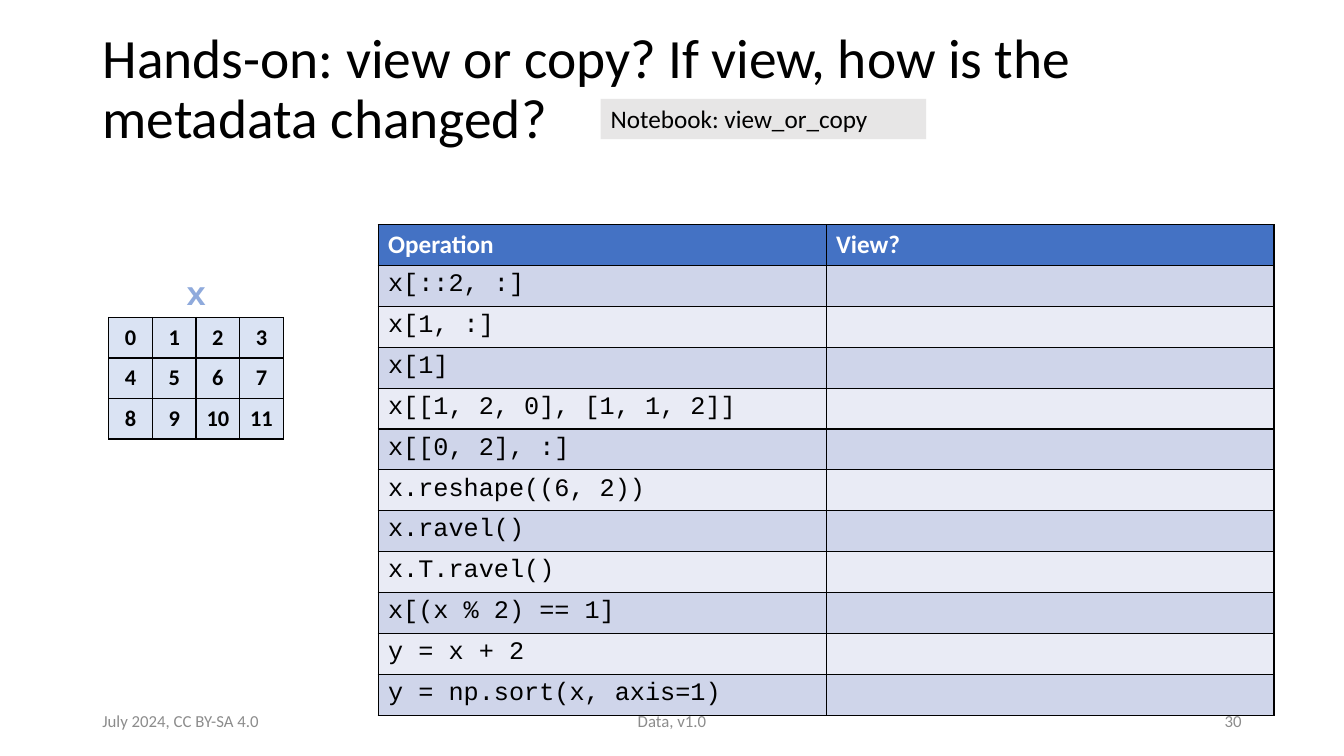
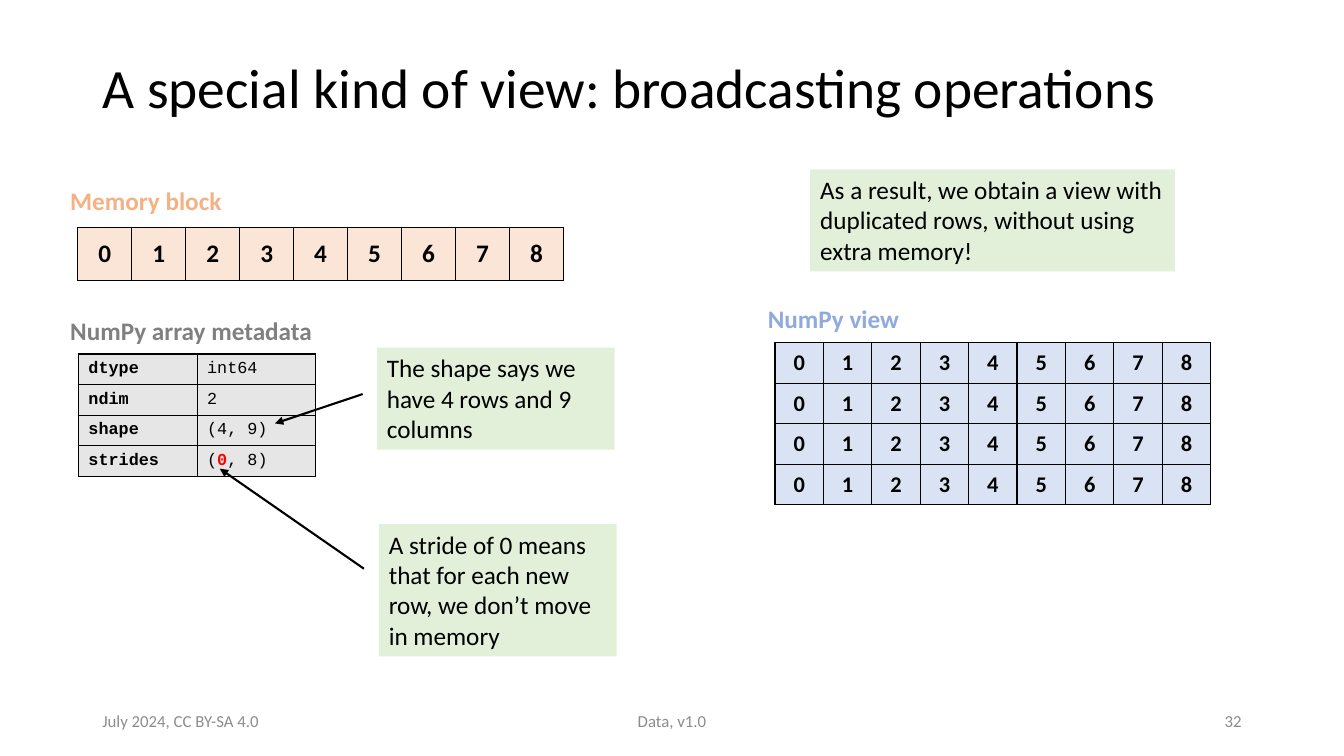
"""Build two slides on array views, copies and broadcasting."""
from dataclasses import dataclass, replace
from typing import Any, Callable

import lxml.etree
import pptx
import pptx.dml.color
import pptx.enum.shapes
import pptx.enum.text
import pptx.oxml.ns
import pptx.util

Cm = pptx.util.Cm
Align = pptx.enum.text.PP_ALIGN
Anchor = pptx.enum.text.MSO_ANCHOR
qn = pptx.oxml.ns.qn

BLACK, WHITE, RED = "000000", "FFFFFF", "FF0000"
GRAY, SILVER, ASH = "8C8C8C", "E7E6E6", "808080"
BLUE, SKY, ICE = "4472C4", "8FAADC", "DAE3F3"
BANDS = ("E9EBF5", "CFD5EA")
ORANGE, PEACH, GREEN = "F4B183", "FBE5D6", "E2F0D9"
SANS, MONO = "Calibri", "Courier New"


@dataclass(frozen=True)
class Look:
    """How text and the area behind it are drawn."""
    size: float = 18
    color: str = BLACK
    bold: bool = False
    font: str = SANS
    fill: str = ""
    align: Any = Align.LEFT
    anchor: Any = Anchor.TOP


@dataclass(frozen=True)
class Box:
    """A piece of text with its place in centimetres."""
    text: str
    left: float
    top: float
    width: float
    height: float
    look: Look


@dataclass(frozen=True)
class Grid:
    """A table of equal cells, sized in centimetres."""
    rows: list[list[str]]
    left: float
    top: float
    width: float
    height: float
    look: Callable[[int, int], Look]
    inset: tuple[float, float] = (0.25, 0.13)


@dataclass(frozen=True)
class Arrow:
    """An arrow between two points in centimetres."""
    start: tuple[float, float]
    end: tuple[float, float]


TITLE = Look(39.6, anchor=Anchor.MIDDLE)
FOOT = Look(12, GRAY, anchor=Anchor.MIDDLE)
NOTE = Look(fill=GREEN)
HEAD = Look(bold=True)
DATA = Look(16, bold=True, fill=ICE, align=Align.CENTER, anchor=Anchor.MIDDLE)
BLOCK = replace(DATA, size=18, fill=PEACH)
META = Look(12, font=MONO, fill=SILVER, anchor=Anchor.MIDDLE)


def hue(code: str) -> Any:
    """Turn a hex string into a colour."""
    return pptx.dml.color.RGBColor.from_string(code)


def paint(fill: Any, code: str) -> None:
    """Make a fill solid in one colour."""
    fill.solid()
    fill.fore_color.rgb = hue(code)


def style(run: Any, look: Look) -> None:
    """Format one run."""
    run.font.name = look.font
    run.font.size = pptx.util.Pt(look.size)
    run.font.bold = look.bold
    run.font.color.rgb = hue(look.color)


def write(frame: Any, text: str, look: Look) -> None:
    """Put formatted text in a frame."""
    frame.text = text
    frame.word_wrap = True
    frame.vertical_anchor = look.anchor
    for para in frame.paragraphs:
        para.alignment = look.align
        for run in para.runs:
            style(run, look)


def place(slide: Any, box: Box) -> None:
    """Draw a text box, or a rectangle when it has a fill."""
    area = [Cm(n) for n in (box.left, box.top, box.width, box.height)]
    if box.look.fill:
        kind = pptx.enum.shapes.MSO_SHAPE.RECTANGLE
        shape = slide.shapes.add_shape(kind, *area)
        shape.shadow.inherit = False
        shape.line.fill.background()
        paint(shape.fill, box.look.fill)
    else:
        shape = slide.shapes.add_textbox(*area)
    write(shape.text_frame, box.text, box.look)


def rule(cell: Any) -> None:
    """Draw thin black borders around a table cell."""
    props = cell.get_or_add_tcPr()
    for side in "LRTB":
        line = lxml.etree.SubElement(props, qn(f"a:ln{side}"), w="12700")
        fill = lxml.etree.SubElement(line, qn("a:solidFill"))
        lxml.etree.SubElement(fill, qn("a:srgbClr"), val=BLACK)


def tile(slide: Any, grid: Grid) -> Any:
    """Draw a table and return it."""
    down, across = len(grid.rows), len(grid.rows[0])
    shape = slide.shapes.add_table(
        down, across, Cm(grid.left), Cm(grid.top),
        Cm(grid.width * across), Cm(grid.height * down))
    for cell in shape.element.iter(qn("a:tc")):
        rule(cell)
    table = shape.table
    table.first_row = table.horz_banding = False
    for col in table.columns:
        col.width = Cm(grid.width)
    for i, row in enumerate(grid.rows):
        table.rows[i].height = Cm(grid.height)
        for j, text in enumerate(row):
            cell, look = table.cell(i, j), grid.look(i, j)
            cell.margin_left = cell.margin_right = Cm(grid.inset[0])
            cell.margin_top = cell.margin_bottom = Cm(grid.inset[1])
            cell.vertical_anchor = look.anchor
            paint(cell.fill, look.fill)
            para = cell.text_frame.paragraphs[0]
            para.text = text
            para.alignment = look.align
            for run in para.runs:
                style(run, look)
    return table


def point(slide: Any, arrow: Arrow) -> None:
    """Draw an arrow."""
    kind = pptx.enum.shapes.MSO_CONNECTOR.STRAIGHT
    ends = [Cm(n) for n in (*arrow.start, *arrow.end)]
    shape = slide.shapes.add_connector(kind, *ends)
    shape.line.color.rgb = hue(BLACK)
    shape.line.width = pptx.util.Pt(1.5)
    props = shape.element.spPr
    line = props.find(qn("a:ln"))
    lxml.etree.SubElement(line, qn("a:tailEnd"), type="triangle")
    lxml.etree.SubElement(props, qn("a:effectLst"))


def start(deck: Any, title: str, number: str) -> Any:
    """Add a slide with its title and footer."""
    slide = deck.slides.add_slide(deck.slide_layouts[5])
    head = slide.shapes.title
    head.left, head.top = Cm(2.33), Cm(1.02)
    head.width, head.height = Cm(29.21), Cm(2.51)
    write(head.text_frame, title, TITLE)
    head.text_frame.auto_size = pptx.enum.text.MSO_AUTO_SIZE.NONE
    head.text_frame.paragraphs[0].line_spacing = 0.9
    for text, left, width, align in (
            ("July 2024, CC BY-SA 4.0", 2.33, 7.62, Align.LEFT),
            ("Data, v1.0", 11.22, 11.43, Align.CENTER),
            (number, 23.92, 7.62, Align.RIGHT)):
        look = replace(FOOT, align=align)
        place(slide, Box(text, left, 17.65, width, 1.02, look))
    return slide


def task(row: int, col: int) -> Look:
    """Give the look of a cell in the task table."""
    if row == 0:
        return Look(color=WHITE, bold=True, fill=BLUE)
    return Look(font=MONO, fill=BANDS[row % 2])


def quiz(deck: Any) -> None:
    """Build the slide with the view or copy task."""
    slide = start(deck, "Hands-on: view or copy? If view, how is the "
                  "metadata changed?", "30")
    name = Look(24, SKY, True, MONO, align=Align.CENTER)
    place(slide, Box("x", 2.24, 6.73, 5.41, 1.27, name))
    cells = [[str(4 * i + j) for j in range(4)] for i in range(3)]
    tile(slide, Grid(cells, 2.74, 8, 1.1, 1.02, lambda i, j: DATA, (0.2, 0.1)))
    steps = ["x[::2, :]", "x[1, :]", "x[1]", "x[[1, 2, 0], [1, 1, 2]]",
             "x[[0, 2], :]", "x.reshape((6, 2))", "x.ravel()", "x.T.ravel()",
             "x[(x % 2) == 1]", "y = x + 2", "y = np.sort(x, axis=1)"]
    rows = [["Operation", "View?"]] + [[step, ""] for step in steps]
    tile(slide, Grid(rows, 9.53, 5.66, 11.29, 1.03, task))
    place(slide, Box("Notebook: view_or_copy", 15.14, 2.49, 8.2, 1.02,
                     Look(fill=SILVER)))


def cast(deck: Any) -> None:
    """Build the slide on broadcasting."""
    slide = start(deck, "A special kind of view: broadcasting operations", "32")
    count = [str(n) for n in range(9)]
    tile(slide, Grid([count], 1.96, 5.74, 1.36, 1.32, lambda i, j: BLOCK))
    for text, left, top, width, color in (
            ("Memory block", 1.52, 4.55, 5.41, ORANGE),
            ("NumPy view", 19.1, 7.52, 5.41, SKY),
            ("NumPy array metadata", 1.52, 7.82, 7.19, ASH)):
        look = replace(HEAD, color=color)
        place(slide, Box(text, left, top, width, 1.02, look))
    facts = [["dtype", "int64"], ["ndim", "2"], ["shape", "(4, 9)"],
             ["strides", ""]]
    table = tile(slide, Grid(facts, 1.98, 8.92, 2.99, 0.77,
                             lambda i, j: replace(META, bold=j == 0)))
    para = table.cell(3, 1).text_frame.paragraphs[0]
    zero = replace(META, color=RED, bold=True)
    for text, look in (("(", META), ("0", zero), (", 8)", META)):
        run = para.add_run()
        run.text = text
        style(run, look)
    tile(slide, Grid([count] * 4, 19.53, 8.64, 1.22, 1.02,
                     lambda i, j: DATA, (0.3, 0.15)))
    for box in (
            Box("A stride of 0 means that for each new row, we don’t move "
                "in memory", 9.55, 13.21, 5.99, 3.33, NOTE),
            Box("As a result, we obtain a view with duplicated rows, without "
                "using extra memory!", 20.42, 4.27, 9.19, 2.57, NOTE),
            Box("The shape says we have 4 rows and 9 columns",
                9.5, 8.76, 5.99, 2.57, NOTE)):
        place(slide, box)
    for arrow in (Arrow((9.17, 14.33), (5.54, 11.81)),
                  Arrow((9.14, 9.93), (6.93, 10.67))):
        point(slide, arrow)


def main() -> None:
    """Build and save the deck."""
    deck = pptx.Presentation()
    deck.slide_width, deck.slide_height = Cm(33.87), Cm(19.05)
    quiz(deck)
    cast(deck)
    deck.save("out.pptx")


if __name__ == "__main__":
    main()
